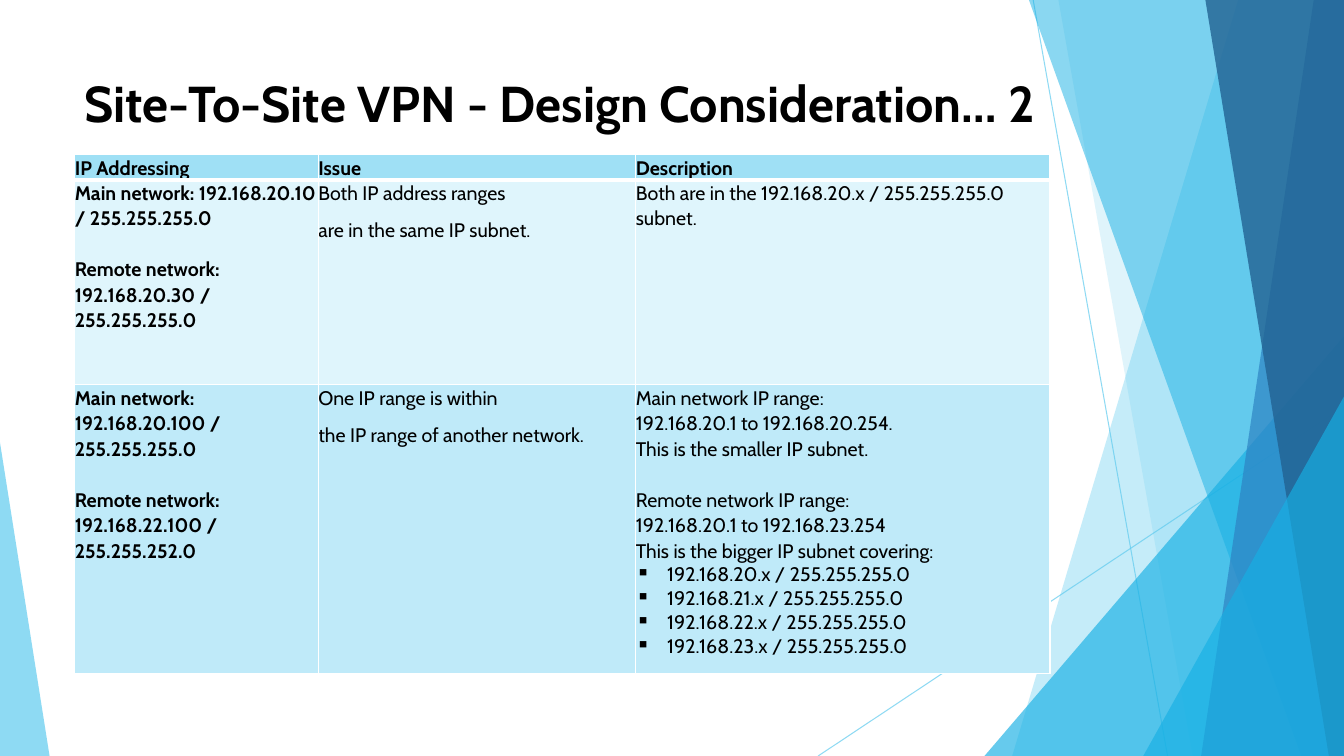
import pptx
import pptx.chart.data
import pptx.dml.color
import pptx.enum.shapes
import pptx.enum.text
import pptx.oxml
import pptx.oxml.ns
import pptx.util
import lxml.etree

COLUMNS, ROWS = 160, 90  # grid units of one twelfth of an inch
UNIT = pptx.util.Inches(1 / 12)
FONT = "Cabin"
SKY, CYAN, BLUE, NAVY = "5FCBEF", "17B0E4", "2E83C3", "226292"
LINE_GAP = 18  # points, the height of one body line


def grid(value):
    return pptx.util.Emu(round(value * UNIT))


def color(value):
    return pptx.dml.color.RGBColor.from_string(value)


def add_element(parent, tag, **attributes):
    element = lxml.etree.SubElement(parent, pptx.oxml.ns.qn(tag))
    for name, value in attributes.items():
        element.set(name, str(value))
    return element


def set_opacity(fill_format, percent):
    """Add the alpha value to the solid colour found below the element."""
    for rgb in fill_format.iter(pptx.oxml.ns.qn("a:srgbClr")):
        add_element(rgb, "a:alpha", val=percent * 1000)


def write(paragraph, text, size=14, bold=False, spacing=1.07, after=0,
          align=pptx.enum.text.PP_ALIGN.LEFT, bullet=None):
    paragraph.text = text.replace("\n", "\v")
    paragraph.alignment = align
    paragraph.line_spacing = spacing
    paragraph.space_after = pptx.util.Pt(after)
    for run in paragraph.runs:
        run.font.name = FONT
        run.font.size = pptx.util.Pt(size)
        run.font.bold = bold
        run.font.color.rgb = color("000000")
    if bullet:
        properties = paragraph._p.get_or_add_pPr()
        indent = pptx.util.Inches(0.31)
        properties.set("marL", str(indent))
        properties.set("indent", str(-indent))
        add_element(properties, "a:buChar", char=bullet)


class Deck:
    def __init__(self):
        self.presentation = pptx.Presentation()
        self.presentation.slide_width = grid(COLUMNS)
        self.presentation.slide_height = grid(ROWS)
        self.slide = self.presentation.slides.add_slide(
            self.presentation.slide_layouts[6])
        self.shapes = self.slide.shapes

    def paint(self, shape, fill, opacity):
        shape.shadow.inherit = False
        shape.fill.solid()
        shape.fill.fore_color.rgb = color(fill)
        shape.line.fill.background()
        set_opacity(shape._element.spPr, opacity)

    def line(self, start, end):
        connector = self.shapes.add_connector(
            pptx.enum.shapes.MSO_CONNECTOR.STRAIGHT,
            *[grid(value) for value in start + end])
        connector.line.color.rgb = color(SKY)
        connector.line.width = pptx.util.Pt(0.75)
        set_opacity(connector._element.spPr, 70)
        add_element(connector._element.spPr, "a:effectLst")

    def band(self, top, bottom, fill, opacity):
        """Fill from a slanted left edge to the right side of the slide."""
        builder = self.shapes.build_freeform(grid(top), 0)
        corners = [(COLUMNS, 0), (COLUMNS, ROWS), (bottom, ROWS)]
        builder.add_line_segments([(grid(x), grid(y)) for x, y in corners])
        self.paint(builder.convert_to_shape(), fill, opacity)

    def triangle(self, left, top, width, apex, fill, opacity):
        """Stand a triangle on the bottom edge of the slide."""
        shape = self.shapes.add_shape(
            pptx.enum.shapes.MSO_SHAPE.ISOSCELES_TRIANGLE,
            grid(left), grid(top), grid(width), grid(ROWS - top))
        shape.adjustments[0] = apex
        self.paint(shape, fill, opacity)

    def title(self, text, left, top, width, height):
        box = self.shapes.add_textbox(
            grid(left), grid(top), grid(width), grid(height))
        box.text_frame.word_wrap = True
        write(box.text_frame.paragraphs[0], text, size=36, bold=True, spacing=1)

    def cell(self, cell, paragraphs, fill, header):
        cell.margin_left = cell.margin_right = 0
        cell.margin_top = cell.margin_bottom = 0
        anchor = pptx.enum.text.MSO_ANCHOR
        cell.vertical_anchor = anchor.MIDDLE if header else anchor.TOP
        for index, (text, options) in enumerate(paragraphs):
            frame = cell.text_frame
            paragraph = frame.add_paragraph() if index else frame.paragraphs[0]
            write(paragraph, text, **options)
        # Borders come before the fill
        properties = cell._tc.get_or_add_tcPr()
        for side in "LRTB":
            points = 3 if header and side == "B" else 1
            border = add_element(properties, "a:ln" + side,
                                 w=pptx.util.Pt(points))
            solid = add_element(border, "a:solidFill")
            add_element(solid, "a:srgbClr", val="FFFFFF")
        cell.fill.solid()
        cell.fill.fore_color.rgb = color(fill)

    def table(self, left, top, widths, heights, fills, content):
        table = self.shapes.add_table(
            len(heights), len(widths), grid(left), grid(top),
            grid(sum(widths)), grid(sum(heights))).table
        table.first_row = table.horz_banding = False
        for column, width in zip(table.columns, widths):
            column.width = grid(width)
        for index, (row, height) in enumerate(zip(table.rows, heights)):
            row.height = grid(height)
            for cell, paragraphs in zip(row.cells, content[index]):
                self.cell(cell, paragraphs, fills[index], header=index == 0)


def networks(main, remote):
    return [("Main network: " + main, dict(bold=True, after=LINE_GAP)),
            ("Remote network: " + remote, dict(bold=True, after=8))]


def issue(*lines):
    return [(line, dict(after=8)) for line in lines]


def main():
    deck = Deck()

    # Background facets, from back to front
    deck.line((123, 0), (139, ROWS))
    deck.line((COLUMNS, 48.4), (97.4, ROWS))
    deck.band(147.4, 120.5, SKY, 36)
    deck.band(126, 142, SKY, 20)
    deck.triangle(117.2, 40, 42.8, 1, CYAN, 66)
    deck.band(122.5, 154.9, CYAN, 50)
    deck.band(156.4, 143, BLUE, 70)
    deck.band(143.5, 158.2, NAVY, 80)
    deck.triangle(136.1, 47.2, 23.9, 1, CYAN, 66)
    deck.triangle(0, 52.7, 5.9, 0, SKY, 70)

    # Title
    deck.title("Site-To-Site VPN - Design Consideration… 2", 8.9, 8, 132.4, 17.3)

    # Table of addressing issues
    header_format = dict(bold=True, after=8,
                         align=pptx.enum.text.PP_ALIGN.JUSTIFY)
    header = [[(text, header_format)]
              for text in ("IP Addressing", "Issue", "Description")]
    same_subnet = [
        networks("192.168.20.10 / 255.255.255.0",
                 "192.168.20.30 / 255.255.255.0"),
        issue("Both IP address ranges", "are in the same IP subnet."),
        issue("Both are in the 192.168.20.x / 255.255.255.0 subnet."),
    ]
    ranges = [
        ("Main network IP range:", {}),
        ("192.168.20.1 to 192.168.20.254.\nThis is the smaller IP subnet.",
         dict(after=LINE_GAP)),
        ("Remote network IP range:", {}),
        ("192.168.20.1 to 192.168.23.254\n"
         "This is the bigger IP subnet covering:", {}),
    ]
    ranges += [(f"192.168.{number}.x / 255.255.255.0",
                dict(spacing=1, bullet="▪")) for number in range(20, 24)]
    range_overlap = [
        networks("192.168.20.100 / 255.255.255.0",
                 "192.168.22.100 / 255.255.252.0"),
        issue("One IP range is within", "the IP range of another network."),
        ranges,
    ]
    deck.table(8.9, 18.4, widths=(29, 37.8, 49.3), heights=(2.8, 24.4, 34.4),
               fills=("9FE0F5", "DFF5FC", "BFEAF9"),
               content=(header, same_subnet, range_overlap))

    deck.presentation.save("out.pptx")


if __name__ == "__main__":
    main()
